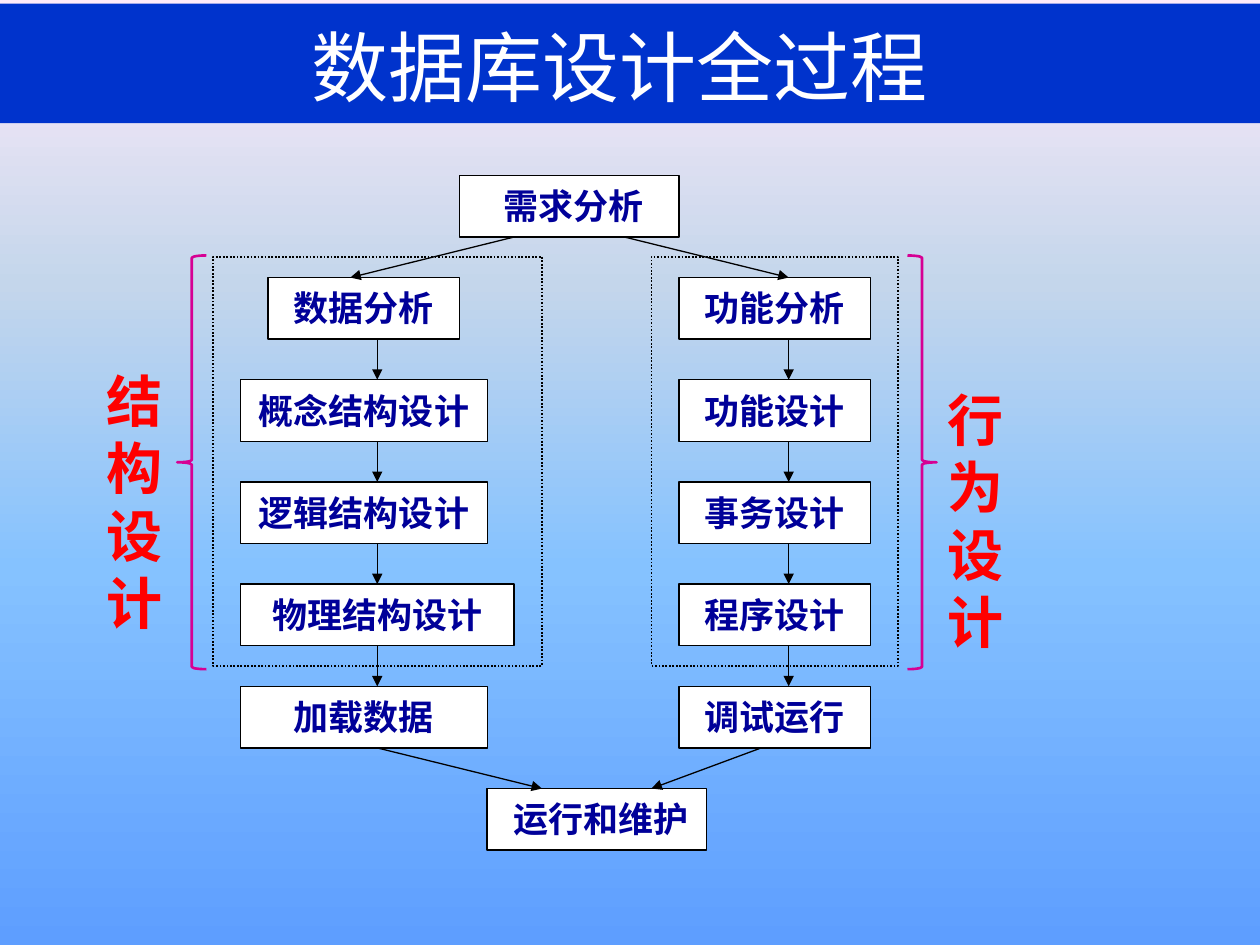
from lxml import etree
from pptx import Presentation
from pptx import util as u
from pptx.dml.color import RGBColor
from pptx.enum import dml, shapes, text
from pptx.oxml import ns

FONT = "Noto Sans CJK SC"
COLORS = {
    "band": "0033CC", "title": "FFFFFF", "box": "FFFFFF", "label": "000099",
    "line": "000000", "brace": "D60093", "side": "FF0000",
}
BACKGROUND = [(0, "5E9EFF"), (40, "85C2FF"), (70, "C4D6EB"), (100, "FFEBFA")]

FIRST_TOP, ROW_STEP, BOX_HEIGHT = 100.2, 58.4, 35.2
DATA_ARROW_X, FUNCTION_ARROW_X = 215.6, 450.7
# label, left, width; one entry per row below the first
DATA_STEPS = [
    ("数据分析", 153.2, 109.6), ("概念结构设计", 137.5, 141),
    ("逻辑结构设计", 137.5, 141), ("物理结构设计", 137.5, 156.2),
    ("加载数据", 137.5, 141),
]
FUNCTION_STEPS = [
    (label, 388, 109.6)
    for label in ("功能分析", "功能设计", "事务设计", "程序设计", "调试运行")
]


def rgb(name):
    return RGBColor.from_string(COLORS[name])


def row_top(row):
    return FIRST_TOP + row * ROW_STEP


def row_bottom(row):
    return row_top(row) + BOX_HEIGHT


def paint_background(page):
    fill = page.background.fill
    fill.gradient()
    fill.gradient_angle = 90
    stops = page.element.find(".//" + ns.qn("a:gsLst"))
    for stop in list(stops):
        stops.remove(stop)
    for position, color in BACKGROUND:
        stop = etree.SubElement(stops, ns.qn("a:gs"), pos=str(position * 1000))
        etree.SubElement(stop, ns.qn("a:srgbClr"), val=color)


def write(shape, words, size, color, bold=True, align=text.PP_ALIGN.CENTER):
    """Put one run in the shape and return its paragraph."""
    frame = shape.text_frame
    frame.word_wrap = True
    para = frame.paragraphs[0]
    para.alignment = align
    span = para.add_run()
    span.text = words
    span.font.size = u.Pt(size)
    span.font.bold = bold
    span.font.name = FONT
    span.font.color.rgb = rgb(color)
    east_asian = etree.SubElement(span.font._element, ns.qn("a:ea"))
    east_asian.set("typeface", FONT)
    return para


def add_shape(page, kind, left, top, width, height, fill=None, line=None, weight=0.75):
    shape = page.shapes.add_shape(
        kind, u.Pt(left), u.Pt(top), u.Pt(width), u.Pt(height))
    shape.shadow.inherit = False
    if fill:
        shape.fill.solid()
        shape.fill.fore_color.rgb = rgb(fill)
    else:
        shape.fill.background()
    if line:
        shape.line.color.rgb = rgb(line)
        shape.line.width = u.Pt(weight)
    else:
        shape.line.fill.background()
    return shape


def add_step(page, words, left, width, row):
    box = add_shape(page, shapes.MSO_SHAPE.RECTANGLE, left, row_top(row),
                    width, BOX_HEIGHT, "box", "line")
    para = write(box, words, 20, "label")
    para.line_spacing = u.Pt(24)
    box.text_frame.vertical_anchor = text.MSO_ANCHOR.TOP
    box.text_frame.margin_top = u.Pt(5.4)
    return box


def add_arrow(page, x1, y1, x2, y2):
    arrow = page.shapes.add_connector(
        shapes.MSO_CONNECTOR.STRAIGHT, u.Pt(x1), u.Pt(y1), u.Pt(x2), u.Pt(y2))
    arrow.line.color.rgb = rgb("line")
    arrow.line.width = u.Pt(0.75)
    outline = arrow.element.find(".//" + ns.qn("a:ln"))
    etree.SubElement(outline, ns.qn("a:tailEnd"), type="triangle")
    etree.SubElement(outline.getparent(), ns.qn("a:effectLst"))
    return arrow


def add_column(page, steps, arrow_x):
    """Stack the steps and link them; join arrows that meet a box at its middle."""
    boxes = [add_step(page, *step, row) for row, step in enumerate(steps, 1)]
    centers = [left + width / 2 for _, left, width in steps]
    for row in range(1, len(steps)):
        arrow = add_arrow(page, arrow_x, row_bottom(row), arrow_x, row_top(row + 1))
        if abs(centers[row - 1] - arrow_x) < 0.5:
            arrow.begin_connect(boxes[row - 1], 2)
        if abs(centers[row] - arrow_x) < 0.5:
            arrow.end_connect(boxes[row], 0)


def add_frame(page, left, width):
    frame = add_shape(page, shapes.MSO_SHAPE.RECTANGLE, left, 146.7, width, 233.8,
                      line="line", weight=1)
    frame.line.dash_style = dml.MSO_LINE.ROUND_DOT


def add_brace(page, kind, left):
    brace = add_shape(page, kind, left, 146, 16.6, 236.4, line="brace", weight=1.5)
    brace.adjustments[0] = 0.08


def add_side_label(page, words, left, top):
    """Narrow box in which each character takes its own line."""
    box = page.shapes.add_textbox(u.Pt(left), u.Pt(top), u.Pt(39.6), u.Pt(162.7))
    para = write(box, words, 32, "side", align=text.PP_ALIGN.LEFT)
    para.line_spacing = u.Pt(38.4)
    box.text_frame.margin_top = u.Pt(6.6)


def add_title(page, words):
    add_shape(page, shapes.MSO_SHAPE.RECTANGLE, -2, 2, 722, 68.4, "band")
    box = page.shapes.add_textbox(u.Pt(35.3), u.Pt(6), u.Pt(648), u.Pt(62.6))
    write(box, words, 44, "title", bold=False)
    box.text_frame.vertical_anchor = text.MSO_ANCHOR.MIDDLE


def main():
    deck = Presentation()
    deck.slide_width, deck.slide_height = u.Pt(720), u.Pt(540)
    page = deck.slides.add_slide(deck.slide_layouts[6])
    paint_background(page)
    add_title(page, "数据库设计全过程 ")

    add_step(page, " 需求分析", 262.7, 125.4, 0)
    add_step(page, " 运行和维护", 278.4, 125.4, 6)
    add_column(page, DATA_STEPS, DATA_ARROW_X)
    add_column(page, FUNCTION_STEPS, FUNCTION_ARROW_X)

    for start, end, row in ((294, 200.2, 0), (356.6, FUNCTION_ARROW_X, 0),
                            (DATA_ARROW_X, 309.7, 5), (435, 372.3, 5)):
        add_arrow(page, start, row_bottom(row), end, row_top(row + 1))

    add_frame(page, 121.8, 188)
    add_frame(page, 372.3, 141)
    add_brace(page, shapes.MSO_SHAPE.LEFT_BRACE, 101.3)
    add_brace(page, shapes.MSO_SHAPE.RIGHT_BRACE, 518.6)
    add_side_label(page, "结构设计", 54, 203)
    add_side_label(page, "行为设计", 534.5, 213.8)
    deck.save("out.pptx")


if __name__ == "__main__":
    main()
